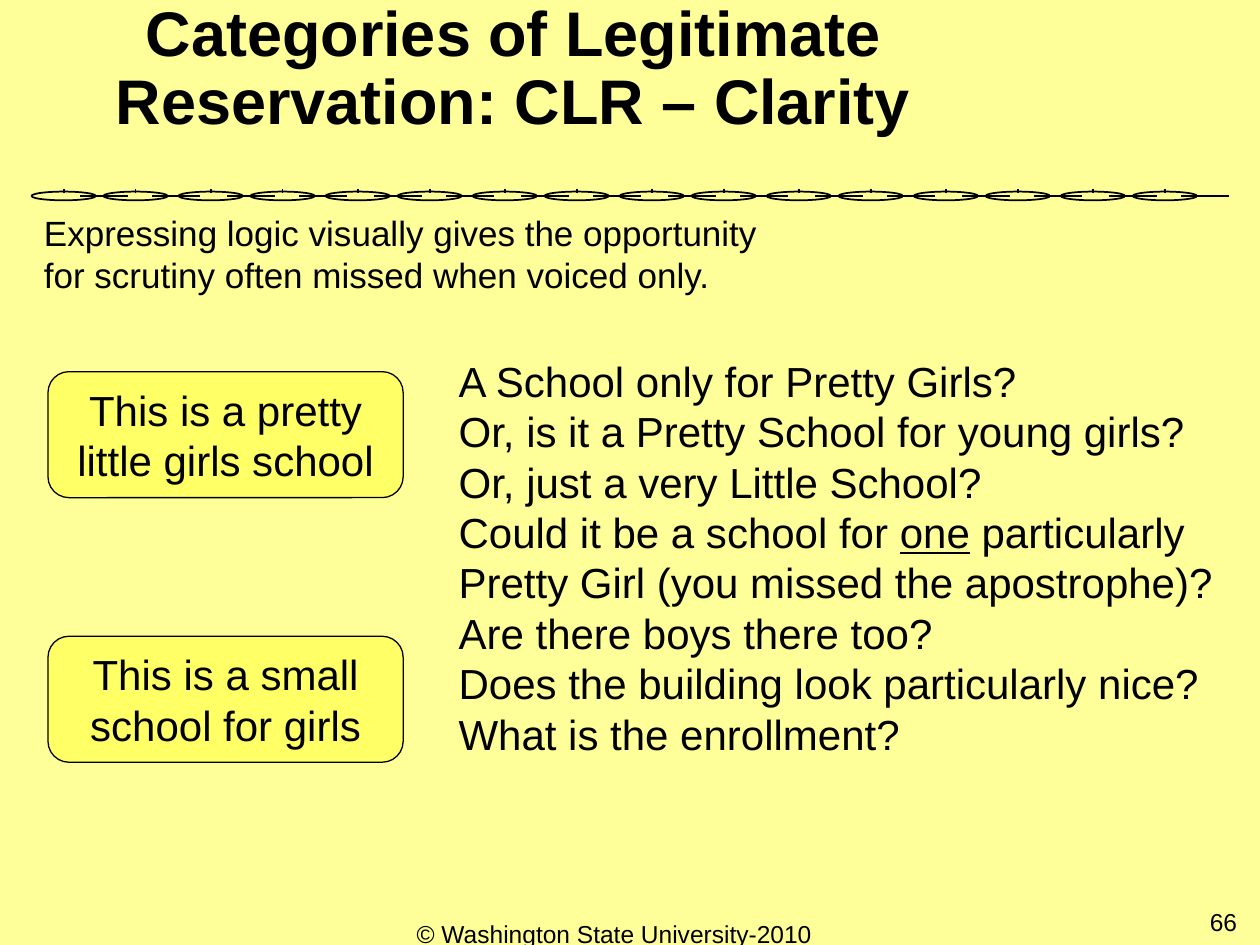
from lxml import etree
from pptx import Presentation
from pptx.dml.color import RGBColor
from pptx.enum.shapes import MSO_CONNECTOR, MSO_SHAPE
from pptx.enum.text import MSO_ANCHOR, MSO_AUTO_SIZE, PP_ALIGN
from pptx.oxml.ns import qn
from pptx.util import Pt

BLACK = RGBColor(0x00, 0x00, 0x00)
PALE_YELLOW = RGBColor(0xFF, 0xFF, 0x99)
YELLOW = RGBColor(0xFF, 0xFF, 0x66)
LEFT, CENTER, RIGHT = PP_ALIGN.LEFT, PP_ALIGN.CENTER, PP_ALIGN.RIGHT
FONT = "Arial"
TITLE_ONLY = 5

QUESTIONS = [
    ["A School only for Pretty Girls?"],
    ["Or, is it a Pretty School for young girls?"],
    ["Or, just a very Little School?"],
    ["Could it be a school for ", "one",
     " particularly Pretty Girl (you missed the apostrophe)?"],
    ["Are there boys there too?"],
    ["Does the building look particularly nice?"],
    ["What is the enrollment?"],
]
STATEMENTS = ["This is a pretty little girls school",
              "This is a small school for girls"]


def place(shape, box):
    shape.left, shape.top, shape.width, shape.height = map(Pt, box)


def style_text(frame, size, align, bold=False):
    frame.word_wrap = True
    for paragraph in frame.paragraphs:
        paragraph.alignment = align
        for run in paragraph.runs:
            run.font.name = FONT
            run.font.size = Pt(size)
            run.font.bold = bold
            run.font.color.rgb = BLACK


def add_title(slide, box, text):
    title = slide.shapes.title
    place(title, box)
    frame = title.text_frame
    frame.text = text
    frame.auto_size = MSO_AUTO_SIZE.NONE
    frame.vertical_anchor = MSO_ANCHOR.BOTTOM
    frame.paragraphs[0].line_spacing = 0.9
    style_text(frame, 36, CENTER, bold=True)


def add_text(slide, box, text, size, align=LEFT):
    frame = slide.shapes.add_textbox(*map(Pt, box)).text_frame
    frame.text = text
    style_text(frame, size, align)


def add_link_line(slide, x1, y1, x2, y2):
    line = slide.shapes.add_connector(
        MSO_CONNECTOR.STRAIGHT, Pt(x1), Pt(y1), Pt(x2), Pt(y2))
    line.line.color.rgb = BLACK
    line.line.width = Pt(1)
    etree.SubElement(line._element.spPr, qn("a:effectLst"))


def add_chain(slide, box, pairs=8):
    """Draw a rule of overlapping rings, alternating two slightly unequal steps."""
    left, top, width, height = box
    ring_width = 36.75
    short_step = 41.1
    pair_step = (width - ring_width - short_step) / (pairs - 1)
    ring_height = height - 1.5
    middle = top + 1.5 + ring_height / 2
    for link in range(2 * pairs):
        pair, second = divmod(link, 2)
        x = left + pair * pair_step + second * short_step
        ring = slide.shapes.add_shape(
            MSO_SHAPE.OVAL, Pt(x), Pt(top + 1.5), Pt(ring_width), Pt(ring_height))
        ring.shadow.inherit = False
        ring.fill.background()
        ring.line.color.rgb = BLACK
        ring.line.width = Pt(1)
        tick_x = x + ring_width / 2
        add_link_line(slide, tick_x, top, tick_x, top + 2.25)
        add_link_line(slide, x + 1.5 * ring_width, middle,
                      x + 0.75 * ring_width, middle)


def add_statements(slide, box, statements, card_height=72):
    left, top, width, height = box
    step = (height - card_height) / (len(statements) - 1)
    for row, statement in enumerate(statements):
        card = slide.shapes.add_shape(
            MSO_SHAPE.ROUNDED_RECTANGLE, Pt(left), Pt(top + row * step),
            Pt(width), Pt(card_height))
        card.shadow.inherit = False
        card.fill.solid()
        card.fill.fore_color.rgb = YELLOW
        card.line.color.rgb = BLACK
        card.line.width = Pt(0.75)
        frame = card.text_frame
        frame.text = statement
        frame.vertical_anchor = MSO_ANCHOR.MIDDLE
        style_text(frame, 24, CENTER)


def add_questions(slide, box, questions):
    """List the questions; the second part of a split one is underlined."""
    frame = slide.shapes.add_textbox(*map(Pt, box)).text_frame
    for row, parts in enumerate(questions):
        paragraph = frame.add_paragraph() if row else frame.paragraphs[0]
        for position, part in enumerate(parts):
            run = paragraph.add_run()
            run.text = part
            if position == 1:
                run.font.underline = True
    style_text(frame, 24, LEFT)


def main():
    deck = Presentation()
    deck.slide_width, deck.slide_height = Pt(720), Pt(540)
    slide = deck.slides.add_slide(deck.slide_layouts[TITLE_ONLY])
    slide.background.fill.solid()
    slide.background.fill.fore_color.rgb = PALE_YELLOW

    add_chain(slide, (18, 108, 666, 6.5))
    add_title(slide, (22.5, 1.5, 541.5, 81),
              "Categories of Legitimate Reservation: CLR – Clarity")
    add_questions(slide, (255, 199.5, 465, 237.5), QUESTIONS)
    add_statements(slide, (27.4, 212.4, 203, 223.2), STATEMENTS)
    add_text(slide, (18, 117.4, 444, 55.5),
             "Expressing logic visually gives the opportunity "
             "for scrutiny often missed when voiced only.", 20)
    add_text(slide, (546, 515, 168, 37.5), "66", 14, RIGHT)
    add_text(slide, (216, 521.5, 270, 37.5),
             "© Washington State University-2010", 14, CENTER)
    deck.save("out.pptx")


if __name__ == "__main__":
    main()
